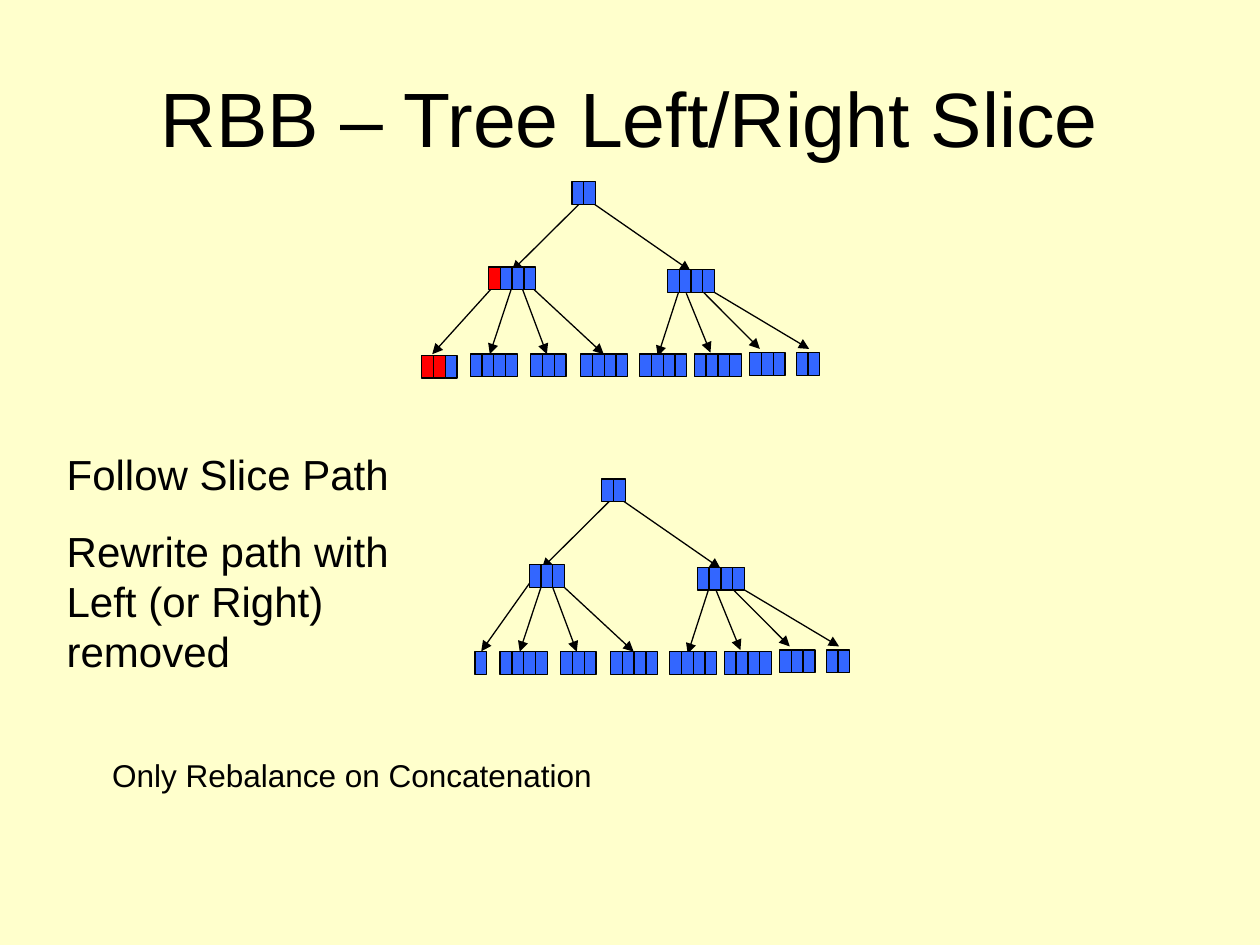
from lxml import etree
from pptx import Presentation
from pptx.dml.color import RGBColor
from pptx.enum.shapes import MSO_CONNECTOR, MSO_SHAPE
from pptx.enum.text import MSO_ANCHOR, MSO_AUTO_SIZE, PP_ALIGN
from pptx.oxml.ns import qn
from pptx.util import Pt

RECTANGLE = MSO_SHAPE.RECTANGLE
STRAIGHT = MSO_CONNECTOR.STRAIGHT
MIDDLE = MSO_ANCHOR.MIDDLE
FIT_SHAPE = MSO_AUTO_SIZE.SHAPE_TO_FIT_TEXT
LEFT = PP_ALIGN.LEFT
CENTER = PP_ALIGN.CENTER

CREAM, BLUE, RED, BLACK = "FFFFCC", "3366FF", "FF0000", "000000"
CELL_WIDTH, CELL_HEIGHT = 6.73, 13


def color(hex_string):
    return RGBColor.from_string(hex_string)


def write(paragraph, text, size, alignment):
    paragraph.alignment = alignment
    run = paragraph.add_run()
    run.text = text
    run.font.size = Pt(size)
    run.font.name = "Arial"
    run.font.color.rgb = color(BLACK)


presentation = Presentation()
presentation.slide_width = Pt(720)
presentation.slide_height = Pt(540)
slide = presentation.slides.add_slide(presentation.slide_layouts[5])
slide.background.fill.solid()
slide.background.fill.fore_color.rgb = color(CREAM)

title = slide.shapes.title
title.left, title.top, title.width, title.height = Pt(36), Pt(21.6), Pt(648), Pt(90)
title.text_frame.vertical_anchor = MIDDLE
write(title.text_frame.paragraphs[0], "RBB – Tree Left/Right Slice", 44, CENTER)

# node: left, top, cell count, red cell count
shared_nodes = [
    (326.8, 103.7, 2, 0),
    (381.4, 154.1, 4, 0),
    (268.7, 202.3, 4, 0),
    (303.3, 202.3, 3, 0),
    (331.8, 202.3, 4, 0),
    (365.6, 202.3, 4, 0),
    (396.8, 202.3, 4, 0),
    (428.4, 201.4, 3, 0),
    (455, 201.4, 2, 0),
]
shared_arrows = [
    (337.5, 115.2, 394.6, 154.8),
    (332.4, 115.2, 292.5, 154.8),
    (292.5, 164.2, 279.9, 202.4),
    (298.2, 164.2, 312.5, 202.4),
    (303.8, 164.2, 345, 202.4),
    (388.2, 165.6, 375.9, 203.6),
    (392.2, 167.6, 406, 201.5),
    (394.8, 159.8, 434.2, 199.4),
    (405.8, 165.6, 462.4, 199.4),
]
trees = [
    (0, 0, [(279.2, 152.6, 4, 1), (241, 203, 3, 2)], (281.5, 164.2, 247, 202.4)),
    (17.1, 170, [(285.3, 152.6, 3, 0), (254.3, 202.3, 1, 0)], (286, 162.6, 257.9, 202.2)),
]

for shift_x, shift_y, sliced_nodes, sliced_arrow in trees:
    for x1, y1, x2, y2 in shared_arrows + [sliced_arrow]:
        arrow = slide.shapes.add_connector(
            STRAIGHT,
            Pt(x1 + shift_x), Pt(y1 + shift_y),
            Pt(x2 + shift_x), Pt(y2 + shift_y),
        )
        arrow.line.color.rgb = color(BLACK)
        arrow.line.width = Pt(0.75)
        etree.SubElement(arrow.line._get_or_add_ln(), qn("a:tailEnd"), type="triangle")
        etree.SubElement(arrow._element.spPr, qn("a:effectLst"))

    for left, top, cell_count, red_count in shared_nodes + sliced_nodes:
        node = slide.shapes.add_group_shape()
        for index in range(cell_count):
            cell = node.shapes.add_shape(
                RECTANGLE,
                Pt(left + shift_x + index * CELL_WIDTH), Pt(top + shift_y),
                Pt(CELL_WIDTH), Pt(CELL_HEIGHT),
            )
            cell.shadow.inherit = False
            cell.fill.solid()
            cell.fill.fore_color.rgb = color(RED if index < red_count else BLUE)
            cell.line.color.rgb = color(BLACK)
            cell.line.width = Pt(0.75)

notes = [
    (31, 252.7, 209.5, 137.5, 24, 15, LEFT,
     ["Follow Slice Path", "Rewrite path with Left (or Right) removed"]),
    (36.7, 428.4, 329, 28.8, 18, 11.2, CENTER, ["Only Rebalance on Concatenation"]),
]
for left, top, width, height, size, space, alignment, lines in notes:
    box = slide.shapes.add_textbox(Pt(left), Pt(top), Pt(width), Pt(height))
    frame = box.text_frame
    frame.word_wrap = True
    frame.auto_size = FIT_SHAPE
    for index, line in enumerate(lines):
        paragraph = frame.add_paragraph() if index else frame.paragraphs[0]
        paragraph.space_before = Pt(space)
        write(paragraph, line, size, alignment)

presentation.save("out.pptx")
